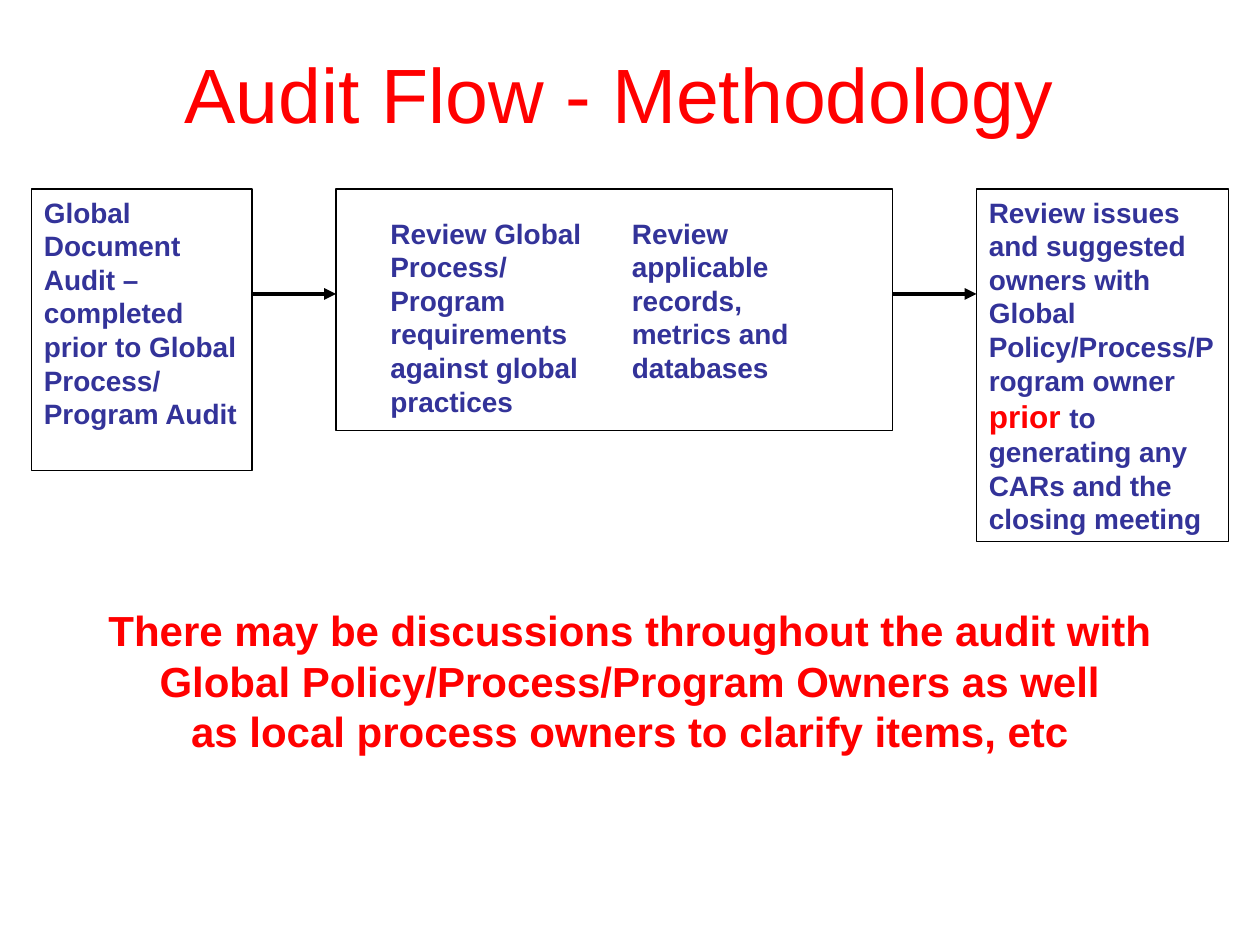
from dataclasses import dataclass

from lxml.etree import SubElement
from pptx import Presentation
from pptx.dml.color import RGBColor
from pptx.enum.shapes import MSO_CONNECTOR, MSO_SHAPE
from pptx.enum.text import MSO_ANCHOR, MSO_AUTO_SIZE, PP_ALIGN
from pptx.oxml.ns import qn
from pptx.util import Pt

COLORS = {"red": "FF0000", "indigo": "333399", "black": "000000"}
FONT = "Arial"
FLOW_TOP = 108
ARROW_Y = 168


@dataclass
class Area:
    left: float
    top: float
    width: float
    height: float

    @property
    def right(self) -> float:
        return self.left + self.width

    def lengths(self) -> tuple:
        return Pt(self.left), Pt(self.top), Pt(self.width), Pt(self.height)


@dataclass
class Passage:
    area: Area
    lines: list[str]
    emphasis: str = ""
    size: float = 16
    color: str = "indigo"
    align: PP_ALIGN = PP_ALIGN.LEFT


def rgb(color: str) -> RGBColor:
    return RGBColor.from_string(COLORS[color])


def format_run(run, size: float, color: str, bold: bool) -> None:
    run.font.name = FONT
    run.font.size = Pt(size)
    run.font.bold = bold
    run.font.color.rgb = rgb(color)


def write(shape, passage: Passage) -> None:
    frame = shape.text_frame
    frame.word_wrap = True
    frame.auto_size = MSO_AUTO_SIZE.SHAPE_TO_FIT_TEXT
    frame.vertical_anchor = MSO_ANCHOR.TOP
    frame.text = "\n".join(passage.lines)
    for paragraph in frame.paragraphs:
        paragraph.alignment = passage.align
        if passage.emphasis:
            before, key, after = paragraph.text.partition(passage.emphasis)
            paragraph.text = before
            for part in (key, after):
                paragraph.add_run().text = part
        for run in paragraph.runs:
            if run.text == passage.emphasis:
                format_run(run, 18, "red", True)
            else:
                format_run(run, passage.size, passage.color, True)


def add_frame(slide, area: Area):
    frame = slide.shapes.add_shape(MSO_SHAPE.RECTANGLE, *area.lengths())
    frame.shadow.inherit = False
    frame.fill.background()
    frame.line.color.rgb = rgb("black")
    frame.line.width = Pt(0.75)
    return frame


def add_arrow(slide, start: Area, end: Area) -> None:
    arrow = slide.shapes.add_connector(
        MSO_CONNECTOR.STRAIGHT, Pt(start.right), Pt(ARROW_Y), Pt(end.left), Pt(ARROW_Y))
    arrow.line.color.rgb = rgb("black")
    arrow.line.width = Pt(2.25)
    SubElement(arrow.line._get_or_add_ln(), qn("a:tailEnd"), type="triangle")
    SubElement(arrow._element.spPr, qn("a:effectLst"))


DOCUMENT_AUDIT = Passage(
    Area(18, FLOW_TOP, 126, 161),
    ["Global Document Audit – completed prior to Global Process/ Program Audit"])
ISSUE_REVIEW = Passage(
    Area(558, FLOW_TOP, 144, 201.5),
    ["Review issues and suggested owners with Global Policy/Process/Program owner "
     "prior to generating any CARs and the closing meeting"],
    emphasis="prior ")
ON_SITE_REVIEW = Area(192, FLOW_TOP, 318, 138)
OPEN_PASSAGES = [
    Passage(Area(216, 120, 126, 142),
            ["Review Global Process/", "Program requirements against global practices"]),
    Passage(Area(354, 120, 120, 104),
            ["Review applicable records, metrics and databases"]),
    Passage(Area(0, 342, 720, 94),
            ["There may be discussions throughout the audit with",
             "Global Policy/Process/Program Owners as well",
             "as local process owners to clarify items, etc"],
            size=24, color="red", align=PP_ALIGN.CENTER),
]


def main() -> None:
    deck = Presentation()
    deck.slide_width, deck.slide_height = Pt(720), Pt(540)
    slide = deck.slides.add_slide(deck.slide_layouts[5])

    # Title
    title = slide.shapes.title
    title.left, title.top, title.width, title.height = Area(42, 20, 624, 66).lengths()
    title.text_frame.text = "Audit Flow - Methodology"
    title.text_frame.vertical_anchor = MSO_ANCHOR.MIDDLE
    heading = title.text_frame.paragraphs[0]
    heading.alignment = PP_ALIGN.CENTER
    format_run(heading.runs[0], 44, "red", False)

    # Framed steps of the audit flow
    add_frame(slide, ON_SITE_REVIEW)
    for step in (DOCUMENT_AUDIT, ISSUE_REVIEW):
        write(add_frame(slide, step.area), step)

    # On-site review columns and closing remark
    for passage in OPEN_PASSAGES:
        write(slide.shapes.add_textbox(*passage.area.lengths()), passage)

    # Arrows between the steps
    add_arrow(slide, DOCUMENT_AUDIT.area, ON_SITE_REVIEW)
    add_arrow(slide, ON_SITE_REVIEW, ISSUE_REVIEW.area)

    deck.save("out.pptx")


if __name__ == "__main__":
    main()
